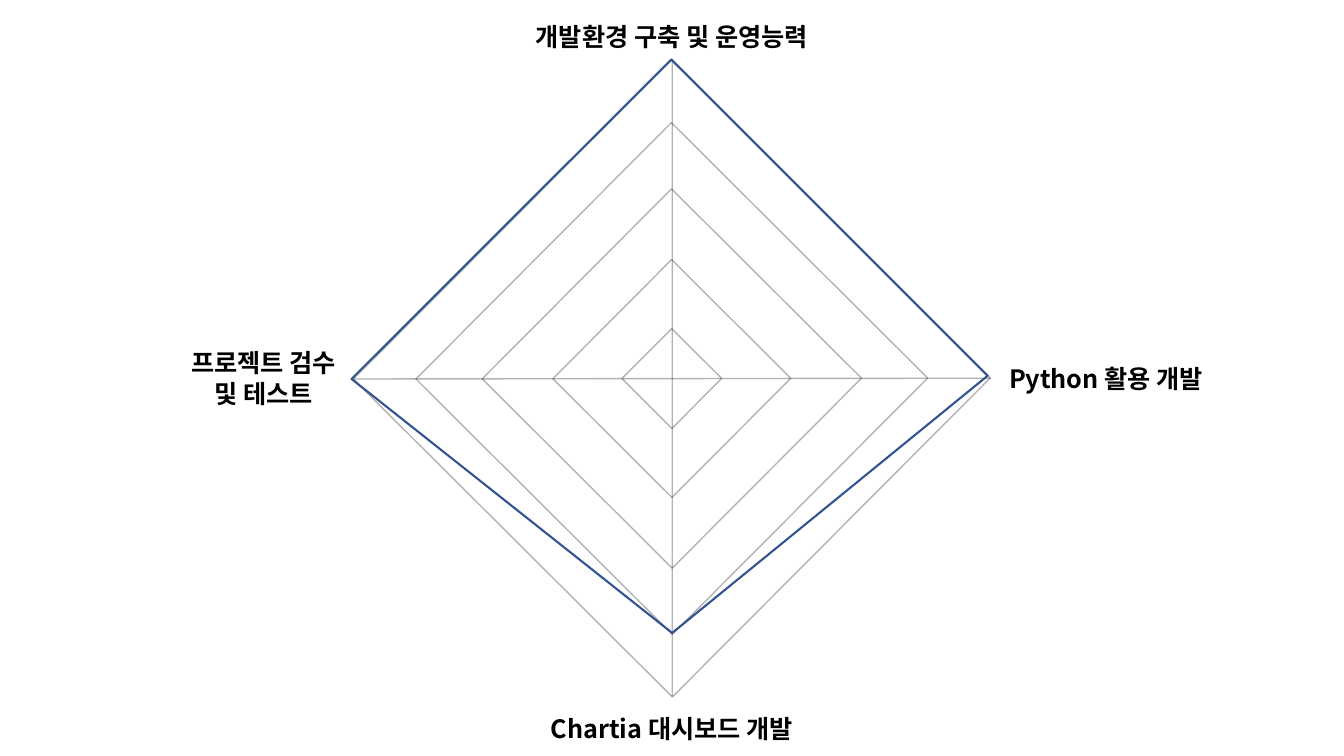
"""Draw a four-axis skill radar with its labels."""
from dataclasses import dataclass

import lxml.etree
import pptx
import pptx.dml.color
import pptx.enum.shapes
import pptx.enum.text
import pptx.oxml.ns
import pptx.util

Cm = pptx.util.Cm
qn = pptx.oxml.ns.qn

COLOURS = {"grid": "000000", "text": "000000", "score": "325491"}
FONT = "Noto Sans CJK KR"
GRID_OPACITY = 30
CENTRE_X, CENTRE_Y = 16.93, 9.54
RING_SIDES = (11.35, 9.12, 6.76, 4.24, 1.78)
RING_ANGLE = 44.9


@dataclass(frozen=True)
class Label:
    """Axis label with its box in centimetres."""
    lines: tuple[str, ...]
    left: float
    top: float
    width: float
    height: float = 1.02


@dataclass(frozen=True)
class Axis:
    """Straight axis between two points in centimetres."""
    start: tuple[float, float]
    end: tuple[float, float]


LABELS = (
    Label(("개발환경 구축 및 운영능력",), 12.6, 0.41, 8.66),
    Label(("Python 활용 개발",), 24.94, 9.04, 5.87),
    Label(("프로젝트 검수", "및 테스트"), 3.71, 8.64, 5.87, 1.8),
    Label(("Chartia 대시보드 개발",), 12.6, 17.86, 8.66),
)
AXES = (
    Axis((8.92, 9.55), (24.97, 9.53)),
    Axis((16.94, 1.5), (16.94, 17.55)),
)
SCORES = ((16.92, 1.5), (24.89, 9.47), (16.94, 15.95), (8.86, 9.55))


def rgb(name: str) -> pptx.dml.color.RGBColor:
    """Return the named colour."""
    return pptx.dml.color.RGBColor.from_string(COLOURS[name])


def style_grid_line(line) -> None:
    """Make a line thin, black and mostly transparent."""
    line.width = pptx.util.Pt(1)
    line.color.rgb = rgb("grid")
    colour = line.fill._xPr.find(f".//{qn('a:srgbClr')}")
    lxml.etree.SubElement(colour, qn("a:alpha"), val=str(GRID_OPACITY * 1000))


def draw_ring(page, side: float) -> None:
    """Draw one rotated square around the centre."""
    ring = page.shapes.add_shape(
        pptx.enum.shapes.MSO_SHAPE.RECTANGLE,
        Cm(CENTRE_X - side / 2), Cm(CENTRE_Y - side / 2), Cm(side), Cm(side))
    ring.rotation = RING_ANGLE
    ring.shadow.inherit = False
    ring.fill.background()
    style_grid_line(ring.line)


def draw_axis(page, axis: Axis) -> None:
    """Draw one axis through the centre."""
    connector = page.shapes.add_connector(
        pptx.enum.shapes.MSO_CONNECTOR.STRAIGHT,
        *map(Cm, axis.start), *map(Cm, axis.end))
    style_grid_line(connector.line)
    lxml.etree.SubElement(connector._element.spPr, qn("a:effectLst"))


def draw_label(page, label: Label) -> None:
    """Write one centred axis label."""
    box = page.shapes.add_textbox(
        Cm(label.left), Cm(label.top), Cm(label.width), Cm(label.height))
    frame = box.text_frame
    frame.word_wrap = True
    for index, line in enumerate(label.lines):
        para = frame.add_paragraph() if index else frame.paragraphs[0]
        para.alignment = pptx.enum.text.PP_ALIGN.CENTER
        span = para.add_run()
        span.text = line
        span.font.size = pptx.util.Pt(18)
        span.font.bold = True
        span.font.color.rgb = rgb("text")
        span.font.name = FONT
        lxml.etree.SubElement(span.font._element, qn("a:ea"), typeface=FONT)


def draw_scores(page) -> None:
    """Outline the scores reached on the four axes."""
    first, *others = [(Cm(x), Cm(y)) for x, y in SCORES]
    builder = page.shapes.build_freeform(*first)
    builder.add_line_segments(others, close=True)
    outline = builder.convert_to_shape()
    outline.shadow.inherit = False
    outline.fill.background()
    outline.line.color.rgb = rgb("score")
    outline.line.width = pptx.util.Pt(1.5)


def main() -> None:
    """Build and save the deck."""
    deck = pptx.Presentation()
    deck.slide_width, deck.slide_height = Cm(33.87), Cm(19.05)
    page = deck.slides.add_slide(deck.slide_layouts[6])
    for side in RING_SIDES:
        draw_ring(page, side)
    for axis in AXES:
        draw_axis(page, axis)
    for label in LABELS:
        draw_label(page, label)
    draw_scores(page)
    deck.save("out.pptx")


if __name__ == "__main__":
    main()
